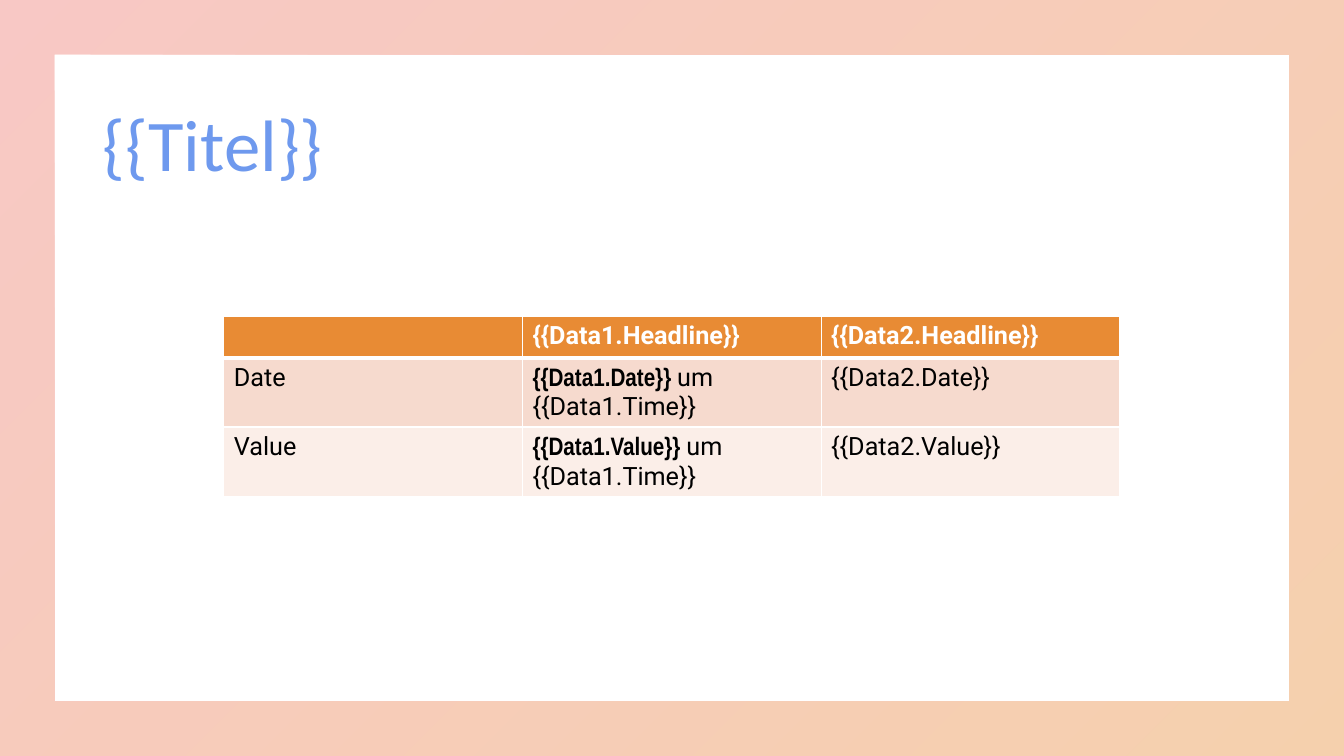
from pptx import Presentation
from pptx.dml.color import RGBColor
from pptx.enum.shapes import MSO_SHAPE as Preset
from pptx.enum.text import MSO_ANCHOR as Anchor, PP_ALIGN as Align
from pptx.oxml import parse_xml
from pptx.oxml.ns import nsdecls, qn
from pptx.util import Inches, Pt

PINK = RGBColor(0xEE, 0x76, 0x6E)
ORANGE = RGBColor(0xE8, 0x8B, 0x34)
BLUE = RGBColor(0x6E, 0x99, 0xEE)
WHITE = RGBColor(0xFF, 0xFF, 0xFF)
BLACK = RGBColor(0x00, 0x00, 0x00)
PEACH = RGBColor(0xF6, 0xDA, 0xCE)
PALE = RGBColor(0xFB, 0xEE, 0xE8)

TITLE = "{{Titel}}"
HEADER = {"name": "Roboto", "size": Pt(18), "bold": True}
PLAIN = {"name": "Roboto", "size": Pt(18), "bold": False}
STRONG = {"name": "Arial Narrow", "size": Pt(18), "bold": True}
ROWS = [
    (ORANGE, WHITE, [
        [],
        [("{{Data1.Headline}}", HEADER)],
        [("{{Data2.Headline}}", HEADER)],
    ]),
    (PEACH, BLACK, [
        [("Date", PLAIN)],
        [("{{Data1.Date}} ", STRONG), ("um {{Data1.Time}}", PLAIN)],
        [("{{Data2.Date}}", PLAIN)],
    ]),
    (PALE, BLACK, [
        [("Value", PLAIN)],
        [("{{Data1.Value}} ", STRONG), ("um {{Data1.Time}}", PLAIN)],
        [("{{Data2.Value}}", PLAIN)],
    ]),
]
COLUMN_WIDTH, ROW_HEIGHT = 2.963, 0.41


def apply_format(font, values):
    for key, value in values.items():
        setattr(font, key, value)


def set_gradient(fill, element, stops, angle):
    fill.gradient()
    fill.gradient_angle = angle
    for stop, (color, _) in zip(fill.gradient_stops, stops):
        stop.color.rgb = color
    gradient = next(element.iter(qn("a:gradFill")))
    for tint, (_, opacity) in zip(gradient.iter(qn("a:srgbClr")), stops):
        if opacity < 100:
            tint.append(parse_xml(f'<a:alpha {nsdecls("a")} val="{opacity * 1000}"/>'))


def set_borders(cell, widths):
    properties = cell._tc.get_or_add_tcPr()
    for place, (side, width) in enumerate(widths.items()):
        properties.insert(place, parse_xml(
            f'<a:ln{side} {nsdecls("a")} w="{Pt(width)}"><a:solidFill>'
            f'<a:srgbClr val="{WHITE}"/></a:solidFill></a:ln{side}>'))


def main():
    deck = Presentation()
    deck.slide_width, deck.slide_height = Inches(13.333), Inches(7.5)
    slide = deck.slides.add_slide(deck.slide_layouts[5])
    title = slide.shapes.title

    frame = slide.shapes.add_shape(Preset.FRAME, 0, 0, deck.slide_width, deck.slide_height)
    frame.adjustments[0] = 0.072
    frame.shadow.inherit = False
    frame.line.fill.background()
    set_gradient(frame.fill, frame._element.spPr, [(PINK, 40), (ORANGE, 40)], 315)
    title._element.addprevious(frame._element)

    title.left, title.top = Inches(0.92), Inches(0.74)
    title.width, title.height = Inches(11.5), Inches(1.45)
    title.text_frame.vertical_anchor = Anchor.MIDDLE
    heading = title.text_frame.paragraphs[0]
    heading.alignment = Align.LEFT
    heading.line_spacing = 0.9
    run = heading.add_run()
    run.text = TITLE
    apply_format(run.font, {"name": "Calibri", "size": Pt(52)})
    set_gradient(run.font.fill, run._r, [(BLUE, 100), (ORANGE, 70)], 0)

    columns = len(ROWS[0][2])
    table = slide.shapes.add_table(
        len(ROWS), columns, Inches(2.22), Inches(3.14),
        Inches(COLUMN_WIDTH * columns), Inches(ROW_HEIGHT * len(ROWS))).table
    for row, (fill, color, cells) in enumerate(ROWS):
        for column, runs in enumerate(cells):
            cell = table.cell(row, column)
            cell.fill.solid()
            cell.fill.fore_color.rgb = fill
            set_borders(cell, {"L": 1, "R": 1, "T": 3 if row == 1 else 1,
                               "B": 3 if row == 0 else 1})
            for text, values in runs:
                run = cell.text_frame.paragraphs[0].add_run()
                run.text = text
                apply_format(run.font, values)
                run.font.color.rgb = color

    deck.save("out.pptx")


if __name__ == "__main__":
    main()
